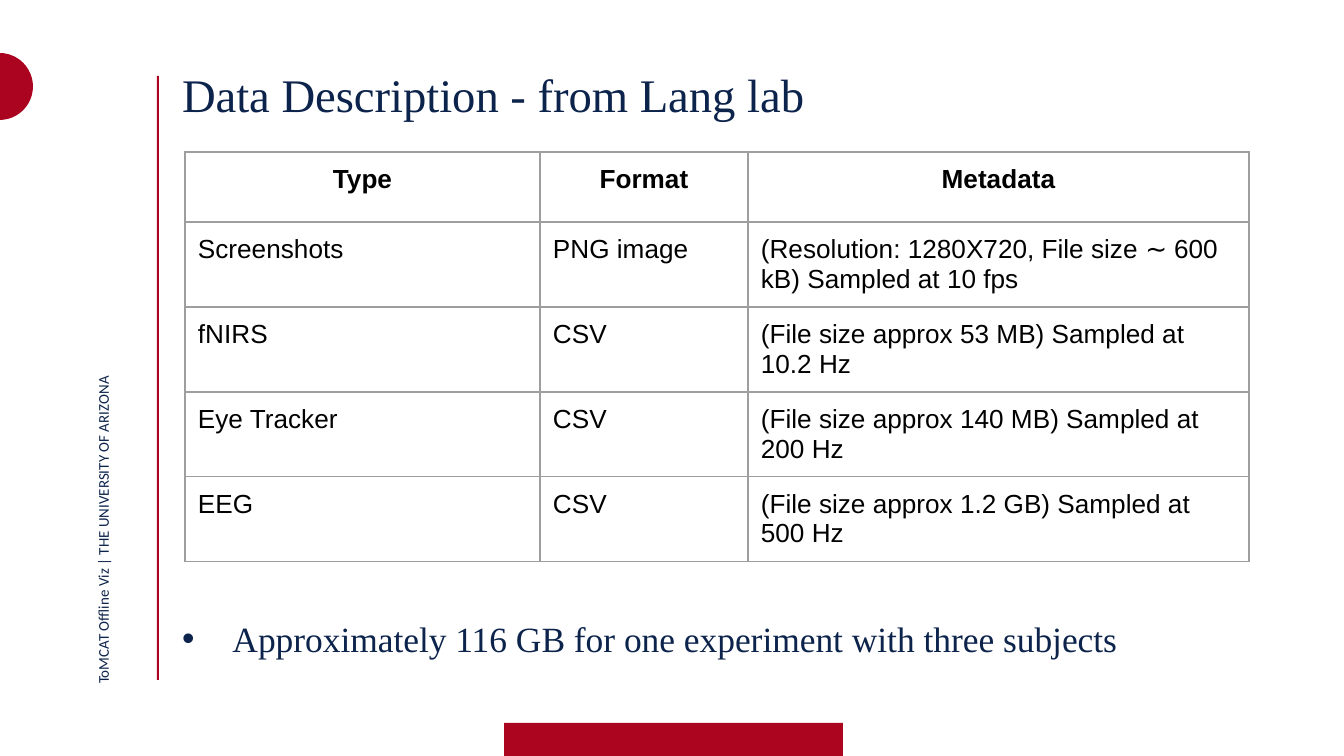
from lxml.etree import SubElement
from pptx import Presentation
from pptx.dml.color import RGBColor
from pptx.enum.shapes import MSO_SHAPE
from pptx.enum.text import MSO_ANCHOR, MSO_AUTO_SIZE, PP_ALIGN
from pptx.oxml.ns import qn
from pptx.util import Emu, Pt

SCALE = 914400 / 134.4
HUES = {"red": "AB0420", "base": "AB0520", "navy": "0C234B",
        "side": "0C234A", "black": "000000", "grid": "9E9E9E"}
FONTS = {
    "title": {"name": "Times New Roman", "size": Pt(25), "bold": False},
    "note": {"name": "Times New Roman", "size": Pt(19), "bold": False},
    "side": {"name": "Calibri", "size": Pt(8), "bold": False},
    "head": {"name": "Arial", "size": Pt(14), "bold": True},
    "cell": {"name": "Arial", "size": Pt(14), "bold": False},
}
PADS = ("margin_left", "margin_top", "margin_right", "margin_bottom")
ROWS = [
    ("Type", "Format", "Metadata"),
    ("Screenshots", "PNG image",
     "(Resolution: 1280X720, File size ∼ 600 kB) Sampled at 10 fps"),
    ("fNIRS", "CSV", "(File size approx 53 MB) Sampled at 10.2 Hz"),
    ("Eye Tracker", "CSV", "(File size approx 140 MB) Sampled at 200 Hz"),
    ("EEG", "CSV", "(File size approx 1.2 GB) Sampled at 500 Hz"),
]


def px(num):
    """Turn whole px into EMU."""
    return Emu(round(num * SCALE))


def put(item, vals):
    """Set each value in a dict on an object."""
    for key, val in vals.items():
        setattr(item, key, val)


class Deck:
    """Hold the style and the current slide."""

    def __init__(self, wide, high):
        """Start a deck with one slide."""
        self.file = Presentation()
        put(self.file, {"slide_width": px(wide), "slide_height": px(high)})
        self.slide = self.file.slides.add_slide(self.file.slide_layouts[1])

    def style(self, frame, text, font, hue, align=PP_ALIGN.LEFT):
        """Set the words and font of a frame."""
        frame.text = text
        para = frame.paragraphs[0]
        para.alignment = align
        put(para.font, FONTS[font])
        para.font.color.rgb = RGBColor.from_string(HUES[hue])
        return para

    def fit(self, frame, pads):
        """Set the insets and wrapping of a frame."""
        put(frame, dict(zip(PADS, map(px, pads))))
        put(frame, {"word_wrap": True, "auto_size": MSO_AUTO_SIZE.NONE,
                    "vertical_anchor": MSO_ANCHOR.TOP})

    def holder(self, index, text, font, box):
        """Use a template placeholder as a heading."""
        shape = self.slide.placeholders[index]
        put(shape, dict(zip(("left", "top", "width", "height"), map(px, box))))
        self.fit(shape.text_frame, (1, 11, 0, 0))
        shape.text_frame.text = text
        props = shape.text_frame.paragraphs[0]._p.get_or_add_pPr()
        props.set("marL", "0")
        props.set("indent", "0")
        SubElement(props, qn("a:buNone"))
        para = self.style(shape.text_frame, text, font, "navy")
        put(para, {"line_spacing": 1.3, "space_before": Pt(0)})

    def block(self, kind, hue, box):
        """Draw a plain filled shape."""
        shape = self.slide.shapes.add_shape(kind, *map(px, box))
        shape.shadow.inherit = False
        shape.fill.solid()
        shape.fill.fore_color.rgb = RGBColor.from_string(HUES[hue])
        shape.line.fill.background()

    def label(self, text, box, turn):
        """Add a turned side label."""
        shape = self.slide.shapes.add_textbox(*map(px, box))
        shape.rotation = turn
        self.fit(shape.text_frame, (0, 0, 0, 0))
        self.style(shape.text_frame, text, "side", "side")

    def edge(self, cell):
        """Draw the four borders of a cell."""
        props = cell._tc.get_or_add_tcPr()
        for side in ("lnL", "lnR", "lnT", "lnB"):
            line = SubElement(props, qn("a:" + side), w=str(Pt(0.75)))
            fill = SubElement(line, qn("a:solidFill"))
            SubElement(fill, qn("a:srgbClr"), val=HUES["grid"])

    def table(self, rows, spot, wides, highs):
        """Build a ruled table with a bold head row."""
        size = (sum(wides), sum(highs))
        grid = self.slide.shapes.add_table(
            len(rows), len(wides), *map(px, spot + size)).table
        put(grid, {"first_row": False, "horz_banding": False})
        for col, wide in zip(grid.columns, wides):
            col.width = px(wide)
        for row, high in zip(grid.rows, highs):
            row.height = px(high)
        for y, row in enumerate(rows):
            font, align = ("cell", PP_ALIGN.LEFT) if y else ("head", PP_ALIGN.CENTER)
            for x, text in enumerate(row):
                cell = grid.cell(y, x)
                put(cell, dict.fromkeys(PADS, px(13)))
                self.edge(cell)
                cell.fill.background()
                self.style(cell.text_frame, text, font, "black", align)


def main():
    """Build and save the slide."""
    deck = Deck(1344, 756)
    deck.block(MSO_SHAPE.OVAL, "red", (-34, 53, 67, 67))
    deck.block(MSO_SHAPE.RECTANGLE, "red", (157, 76, 2, 604))
    deck.block(MSO_SHAPE.RECTANGLE, "base", (504, 723, 339, 36))
    deck.holder(0, "Data Description - from Lang lab", "title", (181, 38, 1074, 102))
    deck.table(ROWS, (185, 152), (355, 208, 501), [70] + [85] * 4)
    deck.holder(1, "Approximately 116 GB for one experiment with three subjects",
                "note", (181, 593, 1074, 102))
    deck.label("ToMCAT Offline Viz | THE UNIVERSITY OF ARIZONA",
               (-116, 457, 437, 17), 270)
    deck.file.save("out.pptx")


if __name__ == "__main__":
    main()
